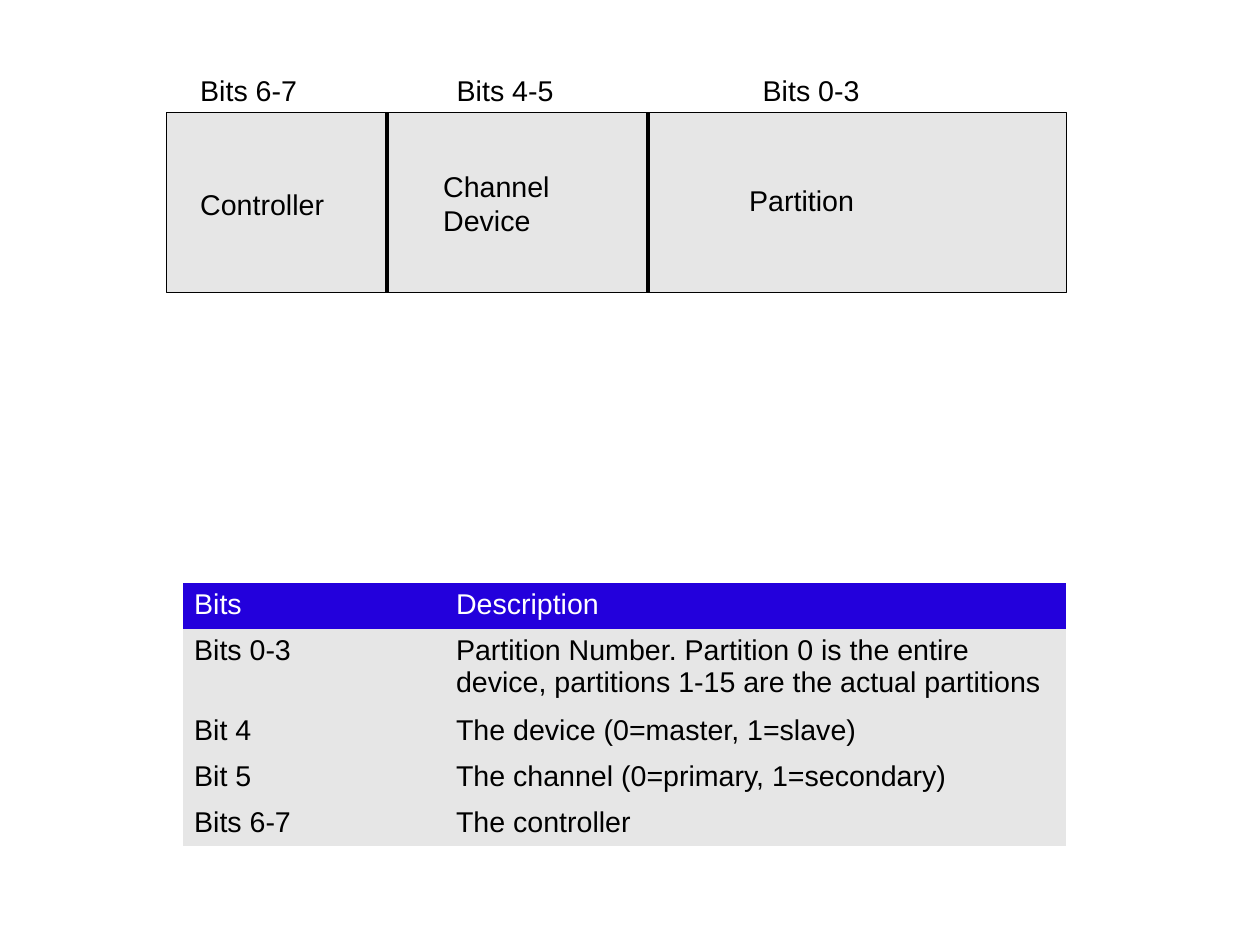
from pptx import Presentation
from pptx.dml.color import RGBColor
from pptx.enum.shapes import MSO_CONNECTOR, MSO_SHAPE
from pptx.enum.text import MSO_AUTO_SIZE
from pptx.oxml.ns import qn
from pptx.util import Cm, Pt
from lxml import etree

# Content: heading, its left, field name, its left and top
FIELDS = [
    ("Bits 6-7", 4.2, "Controller", 4.2, 4.04),
    ("Bits 4-5", 9.9, "Channel\nDevice", 9.6, 3.63),
    ("Bits 0-3", 16.7, "Partition", 16.4, 3.94),
]
ROWS = [
    ("Bits", "Description"),
    ("Bits 0-3", "Partition Number. Partition 0 is the entire device, "
                 "partitions 1-15 are the actual partitions"),
    ("Bit 4", "The device (0=master, 1=slave)"),
    ("Bit 5", "The channel (0=primary, 1=secondary)"),
    ("Bits 6-7", "The controller"),
]

# Layout in centimetres
SLIDE_WIDTH, SLIDE_HEIGHT = 28, 21
REGISTER = (3.7, 2.5, 20, 4)
DIVIDERS = (8.6, 14.4)
HEADING_TOP, HEADING_WIDTH = 1.5, 4.5
NAME_WIDTH, LINE_HEIGHT, PADDING = 3.5, 0.71, 0.25
TABLE_LEFT, TABLE_TOP = 4.06, 12.95
COLUMN_WIDTHS = (5.82, 13.81)
ROW_HEIGHTS = (1.02, 1.77, 1.02, 1.02, 1.02)
BLACK, WHITE, GREY, BLUE = "000000", "FFFFFF", "E6E6E6", "2300DC"


def color(value):
    return RGBColor.from_string(value)


def paint(target, value):
    target.fill.solid()
    target.fill.fore_color.rgb = color(value)


def write(text_frame, text, text_color=BLACK):
    text_frame.text = text
    for paragraph in text_frame.paragraphs:
        for run in paragraph.runs:
            run.font.name = "Arial"
            run.font.size = Pt(18)
            run.font.color.rgb = color(text_color)


def add_label(slide, text, left, top, width, fill=None):
    height = PADDING + LINE_HEIGHT * len(text.split("\n"))
    label = slide.shapes.add_textbox(*map(Cm, (left, top, width, height)))
    if fill:
        paint(label, fill)
    label.text_frame.word_wrap = True
    label.text_frame.auto_size = MSO_AUTO_SIZE.SHAPE_TO_FIT_TEXT
    write(label.text_frame, text)


def add_register(slide):
    left, top, width, height = REGISTER
    register = slide.shapes.add_shape(MSO_SHAPE.RECTANGLE, *map(Cm, REGISTER))
    register.shadow.inherit = False
    paint(register, GREY)
    outlines = [register.line]
    for x in DIVIDERS:
        divider = slide.shapes.add_connector(
            MSO_CONNECTOR.STRAIGHT, *map(Cm, (x, top + height, x, top)))
        etree.SubElement(divider._element.spPr, qn("a:effectLst"))
        outlines.append(divider.line)
    for line in outlines:
        line.color.rgb = color(BLACK)
        line.width = Pt(0)
    for heading, heading_left, name, name_left, name_top in FIELDS:
        add_label(slide, heading, heading_left, HEADING_TOP, HEADING_WIDTH)
        add_label(slide, name, name_left, name_top, NAME_WIDTH, GREY)


def add_bit_table(slide):
    size = (sum(COLUMN_WIDTHS), sum(ROW_HEIGHTS))
    table = slide.shapes.add_table(
        len(ROWS), len(COLUMN_WIDTHS),
        *map(Cm, (TABLE_LEFT, TABLE_TOP, *size))).table
    table.horz_banding = False
    # Plain style: no borders, no grid
    table._tbl.tblPr.find(qn("a:tableStyleId")).text = (
        "{2D5ABB26-0587-4C30-8999-92F81FD0307C}")
    for column, width in zip(table.columns, COLUMN_WIDTHS):
        column.width = Cm(width)
    for index, (row, height) in enumerate(zip(table.rows, ROW_HEIGHTS)):
        row.height = Cm(height)
        fill, text_color = (GREY, BLACK) if index else (BLUE, WHITE)
        for cell, text in zip(row.cells, ROWS[index]):
            paint(cell, fill)
            write(cell.text_frame, text, text_color)


def main():
    presentation = Presentation()
    presentation.slide_width = Cm(SLIDE_WIDTH)
    presentation.slide_height = Cm(SLIDE_HEIGHT)
    slide = presentation.slides.add_slide(presentation.slide_layouts[6])
    add_register(slide)
    add_bit_table(slide)
    presentation.save("out.pptx")


if __name__ == "__main__":
    main()
